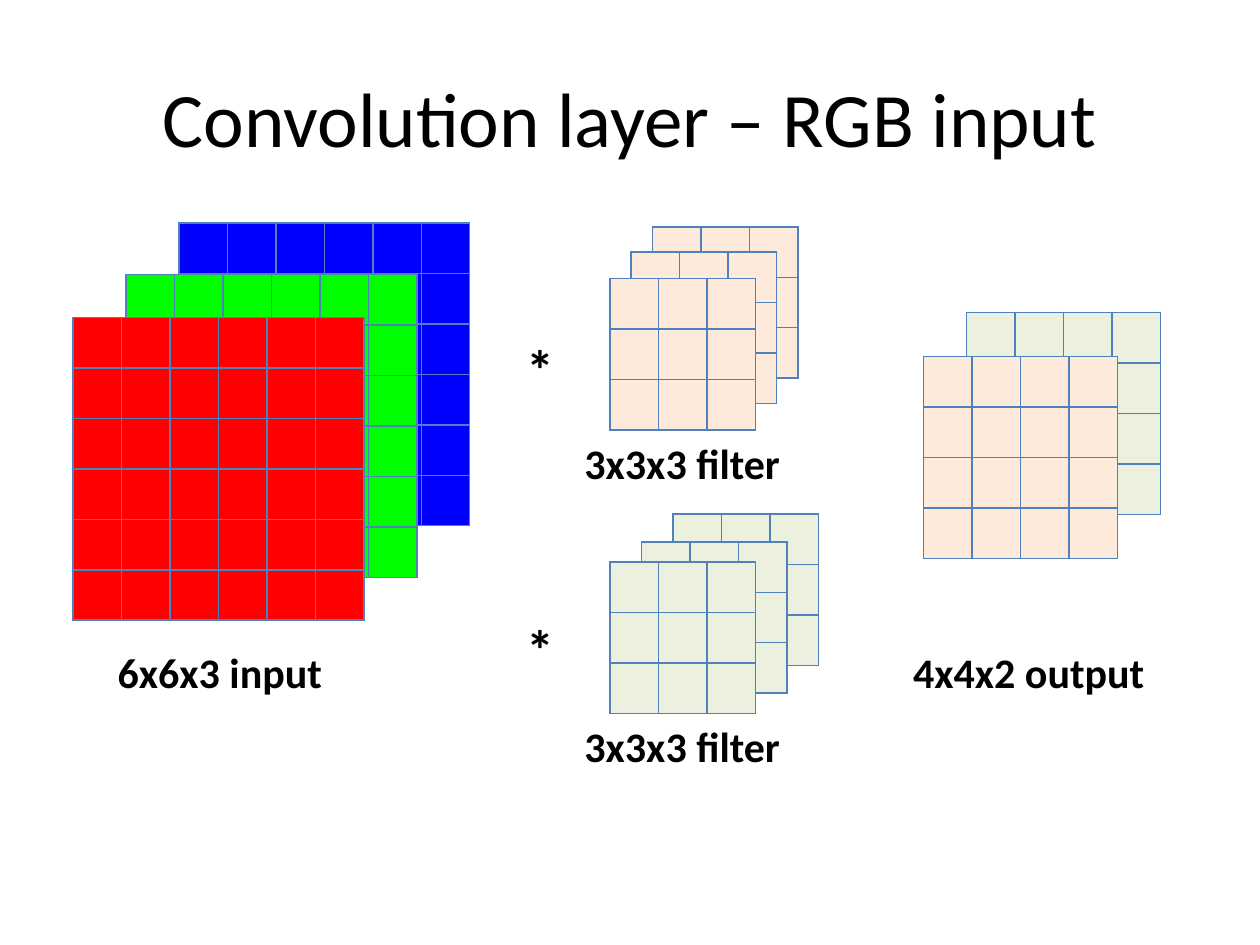
from lxml import etree
from pptx import Presentation
from pptx.dml.color import RGBColor
from pptx.enum.text import MSO_ANCHOR, MSO_AUTO_SIZE, PP_ALIGN
from pptx.oxml.ns import qn
from pptx.util import Inches, Pt

CENTER, LEFT = PP_ALIGN.CENTER, PP_ALIGN.LEFT
MIDDLE, TOP = MSO_ANCHOR.MIDDLE, MSO_ANCHOR.TOP
GROW = MSO_AUTO_SIZE.SHAPE_TO_FIT_TEXT

THEME = {
    "font": "Calibri", "text": "000000", "grid": "4F81BD",
    "red": "FF0000", "green": "00FF00", "blue": "0000FF",
    "peach": "FDEADA", "sage": "EBF1DE",
    "title": 44, "label": 24, "operator": 32, "grid_width": 1,
}
CELL_WIDTH, CELL_HEIGHT = 0.385, 0.4

TITLE = ("Convolution layer – RGB input", (0.5, 0.3, 9, 1.25))

# Each stack: cells per side, then its channels from back to front (left, top, colour)
STACKS = [
    (6, [(1.42, 1.77, "blue"), (1, 2.18, "green"), (0.58, 2.52, "red")]),
    (3, [(5.18, 1.8, "peach"), (5.01, 2, "peach"), (4.84, 2.21, "peach")]),
    (3, [(5.34, 4.08, "sage"), (5.09, 4.3, "sage"), (4.84, 4.46, "sage")]),
    (4, [(7.67, 2.48, "sage"), (7.33, 2.83, "peach")]),
]
LABELS = [
    ("6x6x3 input", (0.58, 5.08, 2.33, 0.5)),
    ("3x3x3 filter", (4.5, 3.42, 1.83, 0.5)),
    ("3x3x3 filter", (4.5, 5.67, 1.83, 0.5)),
    ("4x4x2 output", (7, 5.08, 2.33, 0.5)),
]
OPERATORS = [
    ("*", (4.08, 2.61, 0.43, 0.64)),
    ("*", (4.08, 4.83, 0.43, 0.64)),
]


def color(name):
    return RGBColor.from_string(THEME[name])


def add_text(slide, text, box, size, bold=True, align=CENTER, anchor=TOP, wrap=True):
    textbox = slide.shapes.add_textbox(*map(Inches, box))
    frame = textbox.text_frame
    frame.word_wrap = wrap
    frame.vertical_anchor = anchor
    if anchor == TOP:
        frame.auto_size = GROW
    paragraph = frame.paragraphs[0]
    paragraph.alignment = align
    run = paragraph.add_run()
    run.text = text
    run.font.name = THEME["font"]
    run.font.size = Pt(THEME[size])
    run.font.bold = bold
    run.font.color.rgb = color("text")


def outline_cell(cell):
    """Put the four border lines ahead of the fill, as the schema orders them."""
    properties = cell._tc.get_or_add_tcPr()
    for position, side in enumerate(("a:lnL", "a:lnR", "a:lnT", "a:lnB")):
        line = etree.Element(qn(side), w=str(Pt(THEME["grid_width"])))
        fill = etree.SubElement(line, qn("a:solidFill"))
        etree.SubElement(fill, qn("a:srgbClr"), val=THEME["grid"])
        properties.insert(position, line)


def add_channel(slide, side, left, top, fill):
    table = slide.shapes.add_table(
        side, side, Inches(left), Inches(top),
        Inches(side * CELL_WIDTH), Inches(side * CELL_HEIGHT)).table
    table.first_row = False
    table.horz_banding = False
    for cell in table.iter_cells():
        cell.fill.solid()
        cell.fill.fore_color.rgb = color(fill)
        outline_cell(cell)


def main():
    deck = Presentation()
    deck.slide_width, deck.slide_height = Inches(10), Inches(7.5)
    slide = deck.slides.add_slide(deck.slide_layouts[6])

    add_text(slide, *TITLE, "title", bold=False, anchor=MIDDLE)
    for side, channels in STACKS:
        for channel in channels:
            add_channel(slide, side, *channel)
    for label in LABELS:
        add_text(slide, *label, "label")
    for operator in OPERATORS:
        add_text(slide, *operator, "operator", align=LEFT, wrap=False)

    deck.save("out.pptx")


if __name__ == "__main__":
    main()
